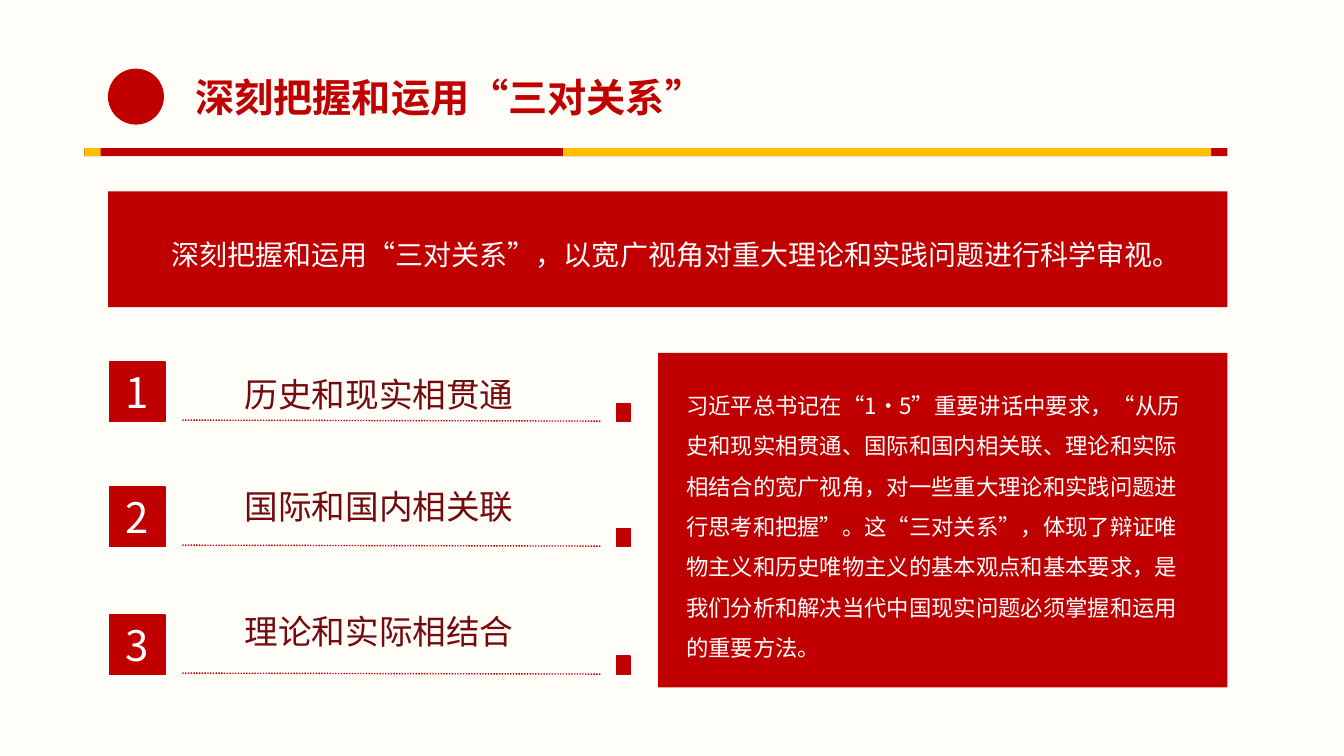
from lxml.etree import SubElement
from pptx import Presentation
from pptx.dml.color import RGBColor
from pptx.enum.dml import MSO_LINE_DASH_STYLE as Dash
from pptx.enum.shapes import MSO_CONNECTOR as Connector, MSO_SHAPE as Shape
from pptx.enum.text import MSO_ANCHOR as Anchor, PP_ALIGN as Align
from pptx.oxml.ns import qn
from pptx.util import Pt

FONT = "Noto Sans CJK SC"
RED, GOLD, MAROON = "C00000", "FFC000", "740A0E"
WHITE, CREAM = "FFFFFF", "FEFDF8"

TITLE = "深刻把握和运用“三对关系”"
SUMMARY = "深刻把握和运用“三对关系”，以宽广视角对重大理论和实践问题进行科学审视。"
EXPLANATION = (
    "习近平总书记在“1·5”重要讲话中要求，“从历史和现实相贯通、国际和国内相关联、"
    "理论和实际相结合的宽广视角，对一些重大理论和实践问题进行思考和把握”。"
    "这“三对关系”，体现了辩证唯物主义和历史唯物主义的基本观点和基本要求，"
    "是我们分析和解决当代中国现实问题必须掌握和运用的重要方法。"
)
RELATIONS = [
    ("历史和现实相贯通", 258.5, 5),
    ("国际和国内相关联", 347.8, -4.3),
    ("理论和实际相结合", 439.2, -6.5),
]


def color(hex_string):
    return RGBColor.from_string(hex_string)


def write(shape, text, size, hex_string, align=Align.LEFT, bold=False, spacing=None):
    paragraph = shape.text_frame.paragraphs[0]
    paragraph.text = text
    paragraph.alignment = align
    paragraph.line_spacing = spacing
    font = paragraph.font
    font.size = Pt(size)
    font.bold = bold
    font.color.rgb = color(hex_string)
    font.name = FONT
    properties = paragraph._p.pPr.find(qn("a:defRPr"))
    SubElement(properties, qn("a:ea"), typeface=FONT)


def add_block(slide, left, top, width, height, fill, outlined=False, kind=Shape.RECTANGLE):
    block = slide.shapes.add_shape(kind, Pt(left), Pt(top), Pt(width), Pt(height))
    block.shadow.inherit = False
    block.fill.solid()
    block.fill.fore_color.rgb = color(fill)
    if outlined:
        block.line.color.rgb = color(fill)
        block.line.width = Pt(1)
    else:
        block.line.fill.background()
    return block


def add_text(slide, left, top, width, height, text, size, hex_string, wrap=True, **style):
    box = slide.shapes.add_textbox(Pt(left), Pt(top), Pt(width), Pt(height))
    box.text_frame.word_wrap = wrap
    write(box, text, size, hex_string, **style)


def add_dotted_line(slide, left, top, width, drop):
    line = slide.shapes.add_connector(
        Connector.STRAIGHT, Pt(left), Pt(top), Pt(left + width), Pt(top + drop))
    line.line.color.rgb = color(RED)
    line.line.width = Pt(1)
    line.line.dash_style = Dash.ROUND_DOT
    SubElement(line._element.spPr, qn("a:effectLst"))


def add_header(slide, left, top, width):
    rule_top, rule_height, cap = top + 56.8, 5.8, 11.6
    gold_left = left + 342
    add_block(slide, left, rule_top, width, rule_height, RED)
    add_block(slide, gold_left, rule_top, left + width - cap - gold_left, rule_height, GOLD)
    add_block(slide, left, rule_top, cap, rule_height, GOLD)
    add_block(slide, left + 16.8, top, 40, 40, RED, kind=Shape.OVAL)
    add_text(slide, left + 69.8, top, 382.3, 41, TITLE, 28, RED,
             wrap=False, align=Align.CENTER, bold=True)


def add_summary(slide, left, top, width, height):
    add_block(slide, left, top, width, height, RED)
    add_text(slide, left + 38, top + 17.3, 720, 39.6, SUMMARY, 20, WHITE, spacing=1.5)


def add_relation(slide, left, top, number, label, label_shift):
    add_text(slide, left + 89.3, top + label_shift, 473.8, 36, label, 24, MAROON)
    badge = add_block(slide, left, top, 39.6, 42.5, RED, outlined=True)
    badge.text_frame.vertical_anchor = Anchor.MIDDLE
    write(badge, str(number), 30, WHITE, align=Align.CENTER)
    add_dotted_line(slide, left + 51.8, top + 41.6, 298.8, 0.7)
    add_block(slide, left + 362.2, top + 29.5, 9.4, 13, RED, outlined=True)


def add_explanation(slide, left, top, width, height):
    add_block(slide, left, top, width, height, RED)
    add_text(slide, left + 13, top + 15.1, 380.2, 211, EXPLANATION, 16, WHITE, spacing=1.5)


def main():
    presentation = Presentation()
    presentation.slide_width, presentation.slide_height = Pt(960), Pt(540)
    slide = presentation.slides.add_slide(presentation.slide_layouts[6])
    slide.background.fill.solid()
    slide.background.fill.fore_color.rgb = color(CREAM)

    add_header(slide, 60.3, 49, 816.5)
    add_summary(slide, 77.3, 136.8, 799.5, 82.6)
    for number, (label, top, label_shift) in enumerate(RELATIONS, start=1):
        add_relation(slide, 78.4, top, number, label, label_shift)
    add_explanation(slide, 470, 252, 406.8, 239)
    presentation.save("out.pptx")


if __name__ == "__main__":
    main()
